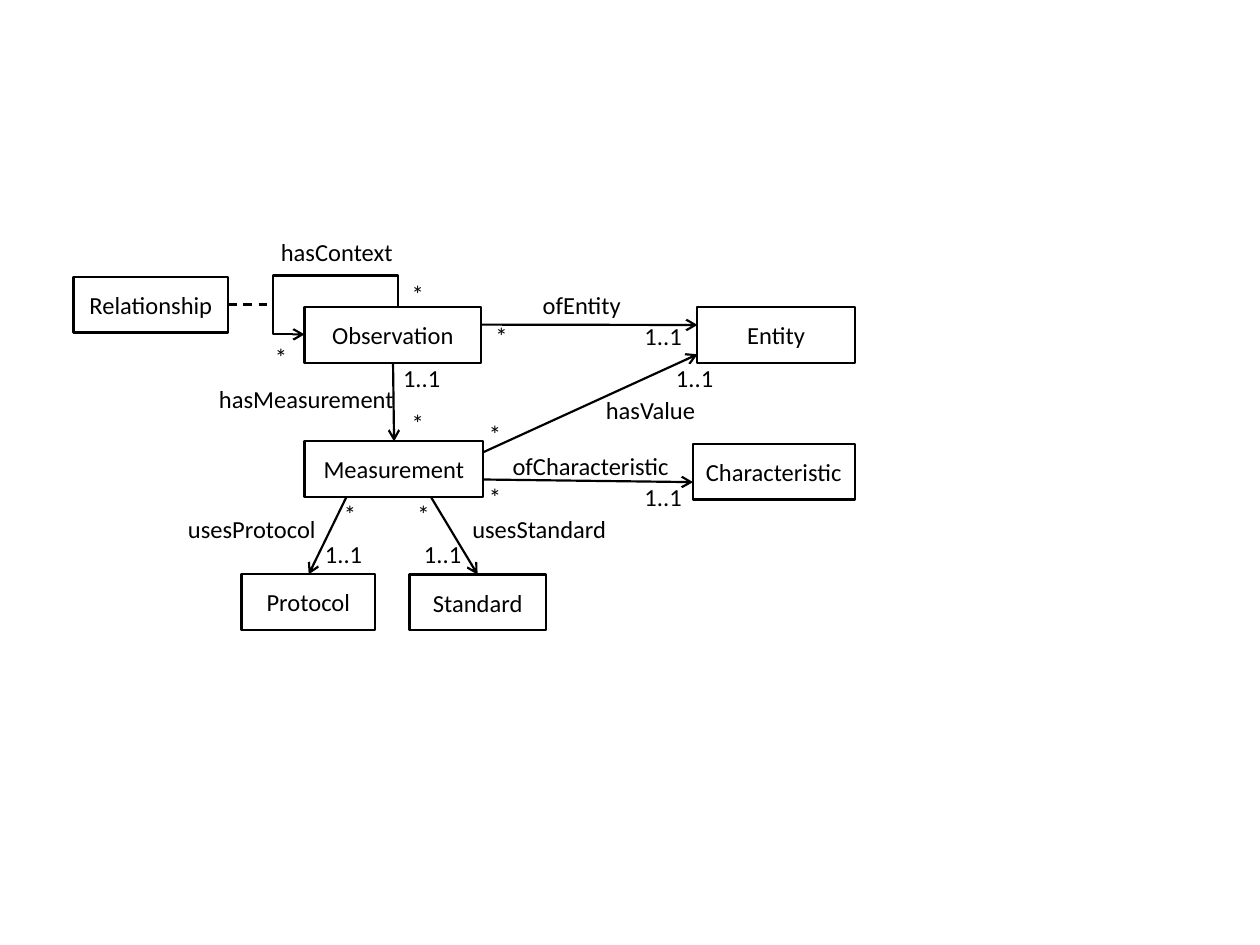
"""Build a class diagram of observations, measurements and entities."""
import pptx
import pptx.dml.color
import pptx.enum.dml
import pptx.enum.shapes
import pptx.enum.text
import pptx.util
from lxml import etree
from pptx.oxml.ns import qn

Pt = pptx.util.Pt
BLACK = pptx.dml.color.RGBColor(0x00, 0x00, 0x00)
WHITE = pptx.dml.color.RGBColor(0xFF, 0xFF, 0xFF)
ALIGN = pptx.enum.text.PP_ALIGN
ANCHOR = pptx.enum.text.MSO_ANCHOR
CONNECTOR = pptx.enum.shapes.MSO_CONNECTOR
LINE_WIDTH = Pt(1.25)
CLASS_HEIGHT = 31.7
LABEL_HEIGHT = 24.2


def write_text(frame, text, align=ALIGN.LEFT, anchor=ANCHOR.TOP, wrap=False,
               autosize=pptx.enum.text.MSO_AUTO_SIZE.NONE):
    frame.word_wrap = wrap
    frame.auto_size = autosize
    frame.vertical_anchor = anchor
    paragraph = frame.paragraphs[0]
    paragraph.alignment = align
    run = paragraph.add_run()
    run.text = text
    run.font.name = "Calibri"
    run.font.size = Pt(14)
    run.font.color.rgb = BLACK


def draw_link(kind, start, end, arrow=True):
    link = slide.shapes.add_connector(kind, *map(Pt, start + end))
    link.line.color.rgb = BLACK
    link.line.width = LINE_WIDTH
    if arrow:
        etree.SubElement(link.line._get_or_add_ln(), qn("a:tailEnd"), type="arrow")
    etree.SubElement(link._element.spPr, qn("a:effectLst"))
    return link


presentation = pptx.Presentation()
presentation.slide_width = Pt(720)
presentation.slide_height = Pt(540)
slide = presentation.slides.add_slide(presentation.slide_layouts[6])

classes = [
    ("Entity", 398.2, 175.6, 90.6),
    ("Characteristic", 396, 253.8, 92.4),
    ("Observation", 174, 175.6, 101),
    ("Protocol", 138, 328.2, 76.4),
    ("Measurement", 174, 252.2, 102.2),
    ("Standard", 234, 328.3, 78),
    ("Relationship", 42, 158.4, 88.4),
]
for name, left, top, width in classes:
    class_box = slide.shapes.add_shape(
        pptx.enum.shapes.MSO_SHAPE.RECTANGLE,
        Pt(left), Pt(top), Pt(width), Pt(CLASS_HEIGHT))
    class_box.shadow.inherit = False
    class_box.fill.solid()
    class_box.fill.fore_color.rgb = WHITE
    class_box.line.color.rgb = BLACK
    class_box.line.width = LINE_WIDTH
    write_text(class_box.text_frame, name, align=ALIGN.CENTER,
               anchor=ANCHOR.MIDDLE, wrap=True)

relations = [
    ((275, 185.5), (398.6, 185.7)),
    ((224.6, 207.4), (225.2, 252.2)),
    ((276, 258.5), (398.6, 202.5)),
    ((276, 274), (396, 275.5)),
    ((198, 283.9), (176.4, 328.2)),
    ((246.2, 283.9), (272.9, 328.3)),
]
for start, end in relations:
    draw_link(CONNECTOR.STRAIGHT, start, end)

association = draw_link(CONNECTOR.STRAIGHT, (130.4, 174), (156.2, 174), arrow=False)
association.line.dash_style = pptx.enum.dml.MSO_LINE.DASH

context_loop = draw_link(CONNECTOR.ELBOW, (192.8, 156.5), (208.6, 209.9))
context_loop._element.spPr.find(qn("a:xfrm")).set("rot", "5400000")
loop_geometry = context_loop._element.spPr.find(qn("a:prstGeom"))
loop_geometry.set("prst", "bentConnector4")
for guide, value in (("adj1", -113400), ("adj2", 133600)):
    etree.SubElement(loop_geometry.find(qn("a:avLst")), qn("a:gd"),
                     name=guide, fmla=f"val {value}")

label_widths = {
    "hasMeasurement": 114.5, "ofCharacteristic": 104.4, "usesProtocol": 87.8,
    "usesStandard": 91.4, "ofEntity": 59, "hasContext": 78.5, "hasValue": 66.2,
    "1..1": 37, "*": 20.9,
}
label_places = {
    "hasMeasurement": [(118, 216)],
    "ofCharacteristic": [(285.8, 254.2)],
    "usesProtocol": [(100.3, 290.2)],
    "usesStandard": [(262.8, 290.2)],
    "ofEntity": [(303, 162)],
    "hasContext": [(153.4, 131.8)],
    "hasValue": [(339.1, 222)],
    "1..1": [(361.2, 180), (223.2, 203.8), (178.6, 304.6), (235.2, 304.6),
             (361.2, 272), (379.2, 203.8)],
    "*": [(150, 192.2), (228.2, 156.2), (276, 180), (228.2, 229.7),
          (231.4, 281.5), (189.4, 281.5), (272.2, 236), (272.2, 272)],
}
for label, places in label_places.items():
    for left, top in places:
        label_box = slide.shapes.add_textbox(
            Pt(left), Pt(top), Pt(label_widths[label]), Pt(LABEL_HEIGHT))
        write_text(label_box.text_frame, label,
                   autosize=pptx.enum.text.MSO_AUTO_SIZE.SHAPE_TO_FIT_TEXT)

presentation.save("out.pptx")
